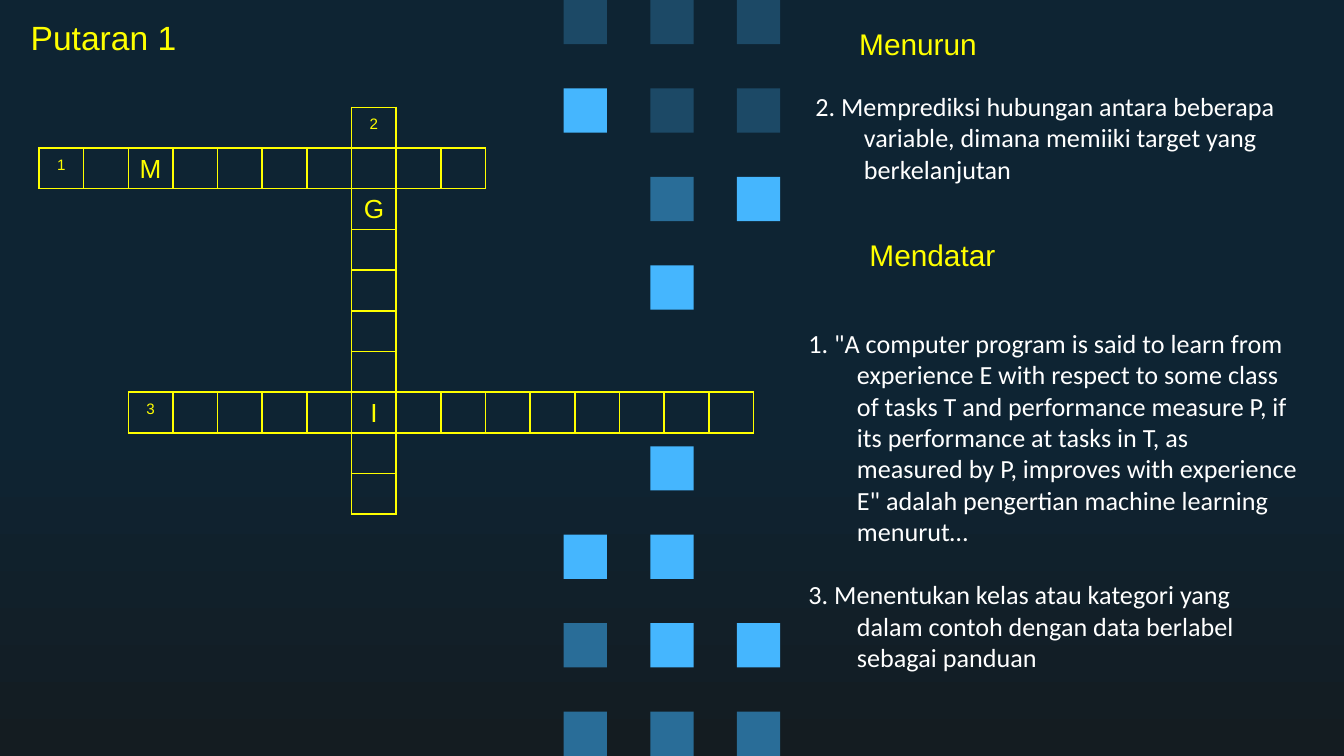
from lxml import etree
from pptx import Presentation
from pptx.dml.color import RGBColor
from pptx.enum.shapes import MSO_SHAPE
from pptx.enum.text import MSO_ANCHOR, MSO_AUTO_SIZE, PP_ALIGN
from pptx.oxml.ns import qn
from pptx.util import Pt

RECTANGLE = MSO_SHAPE.RECTANGLE
MIDDLE = MSO_ANCHOR.MIDDLE
NO_AUTOFIT = MSO_AUTO_SIZE.NONE
LEFT, CENTER = PP_ALIGN.LEFT, PP_ALIGN.CENTER

# Content: placeholder index, role, box (left, top, width, height), paragraphs
TEXTS = [
    (0, "title", (9.2, 7.9, 231.8, 23.8), ["Putaran 1"]),
    (1, "heading", (370.1, -9.2, 243.4, 65.5), ["Menurun"]),
    (2, "clue", (419.6, 31.8, 279.4, 83.5), [
        "2. Memprediksi hubungan antara beberapa variable, dimana memiiki "
        "target yang berkelanjutan"]),
    (3, "heading", (377.8, 103.7, 243.4, 65.5), ["Mendatar"]),
    (4, "clue", (415.9, 136.1, 287.3, 263.5), [
        '1. "A computer program is said to learn from experience E with respect '
        "to some class of tasks T and performance measure P, if its performance "
        "at tasks in T, as measured by P, improves with experience E\" adalah "
        "pengertian machine learning menurut…",
        "3. Menentukan kelas atau kategori yang dalam contoh dengan data "
        "berlabel sebagai panduan"]),
]

# Crossword: # is an empty box, a digit is a clue number, a dot lies outside
CROSSWORD = [
    ".......2........",
    "1#M#######......",
    ".......G........",
    ".......#........",
    ".......#........",
    ".......#........",
    ".......#........",
    "..3####I########",
    ".......#........",
    ".......#........",
]

# Square pattern: d dark, m medium, b bright
TOP_SQUARES = ["ddd", "bdd", ".mb", ".b."]
BOTTOM_SQUARES = [".b.", "bb.", "mbb", "mmm"]

THEME = {
    "night": RGBColor(0x0E, 0x24, 0x33),
    "dusk": RGBColor(0x14, 0x1C, 0x21),
    "yellow": RGBColor(0xFF, 0xFF, 0x00),
    "white": RGBColor(0xFF, 0xFF, 0xFF),
    "d": RGBColor(0x1C, 0x49, 0x66),
    "m": RGBColor(0x29, 0x6D, 0x98),
    "b": RGBColor(0x45, 0xB6, 0xFE),
    "title": {"name": "Arial", "size": Pt(18), "bold": False},
    "heading": {"name": "Arial", "size": Pt(16), "bold": False},
    "clue": {"name": "Calibri", "size": Pt(14), "bold": False},
    "letter": {"name": "Arial", "size": Pt(14), "bold": False},
}
ALIGNMENT = {"title": LEFT, "heading": CENTER, "clue": LEFT}
COLOUR = {"title": "yellow", "heading": "yellow", "clue": "white"}

SLIDE_W, SLIDE_H = 720, 405
SQUARE_W, SQUARE_H = 23.2, 23.7
SQUARE_LEFT, SQUARE_STEP_X, SQUARE_STEP_Y = 302, 46.4, 47.4
GRID_LEFT, GRID_TOP, BOX_W, BOX_H = 20.9, 57.5, 23.94, 21.8
CLUE_GAP = 17
FRAME = {"word_wrap": True, "auto_size": NO_AUTOFIT, "vertical_anchor": MIDDLE,
         "margin_left": Pt(7.2), "margin_right": Pt(7.2),
         "margin_top": Pt(7.2), "margin_bottom": Pt(7.2)}
BOX = {"vertical_anchor": MIDDLE, "margin_left": Pt(0.7), "margin_right": Pt(0.7),
       "margin_top": Pt(0.7), "margin_bottom": Pt(0)}
PLAIN_TABLE = "{2D5ABB26-0587-4C30-8999-92F81FD0307C}"
SIDES = {"a:lnL": (0, -1), "a:lnR": (0, 1), "a:lnT": (-1, 0), "a:lnB": (1, 0)}


def apply(target, values):
    for name, value in values.items():
        setattr(target, name, value)


def place(shape, box):
    apply(shape, dict(zip(("left", "top", "width", "height"), map(Pt, box))))


def style_font(font, role, colour):
    apply(font, THEME[role])
    font.color.rgb = THEME[colour]


def fill_placeholder(holder, role, box, paragraphs):
    place(holder, box)
    frame = holder.text_frame
    frame.text = "\n".join(paragraphs)
    apply(frame, FRAME)
    for number, paragraph in enumerate(frame.paragraphs):
        props = paragraph._p.get_or_add_pPr()
        hanging = role == "clue"
        props.set("marL", str(Pt(36) if hanging else 0))
        props.set("indent", str(-Pt(26) if hanging else 0))
        etree.SubElement(props, qn("a:buNone"))
        apply(paragraph, {"alignment": ALIGNMENT[role], "line_spacing": 1.0,
                          "space_before": Pt(CLUE_GAP if number else 0)})
        style_font(paragraph.runs[0].font, role, COLOUR[role])


def add_squares(shapes, pattern, top):
    for row, marks in enumerate(pattern):
        for col, mark in enumerate(marks):
            if mark == ".":
                continue
            square = shapes.add_shape(
                RECTANGLE, Pt(SQUARE_LEFT + col * SQUARE_STEP_X),
                Pt(top + row * SQUARE_STEP_Y), Pt(SQUARE_W), Pt(SQUARE_H))
            square.shadow.inherit = False
            square.fill.solid()
            square.fill.fore_color.rgb = THEME[mark]
            square.line.fill.background()


def in_word(row, col):
    return (0 <= row < len(CROSSWORD) and 0 <= col < len(CROSSWORD[0])
            and CROSSWORD[row][col] != ".")


def draw_borders(cell, row, col):
    # Every side is stated, so that no side takes over a neighbour's line
    props = cell._tc.get_or_add_tcPr()
    for position, (side, (down, right)) in enumerate(SIDES.items()):
        line = etree.Element(qn(side), w=str(Pt(1)))
        if in_word(row, col) or in_word(row + down, col + right):
            paint = etree.SubElement(line, qn("a:solidFill"))
            etree.SubElement(paint, qn("a:srgbClr"), val=str(THEME["yellow"]))
        else:
            etree.SubElement(line, qn("a:noFill"))
        props.insert(position, line)


def add_crossword(shapes):
    rows, cols = len(CROSSWORD), len(CROSSWORD[0])
    table = shapes.add_table(rows, cols, Pt(GRID_LEFT), Pt(GRID_TOP),
                             Pt(cols * BOX_W), Pt(rows * BOX_H)).table
    apply(table, {"first_row": False, "horz_banding": False})
    table._tbl.tblPr.find(qn("a:tableStyleId")).text = PLAIN_TABLE
    for column in table.columns:
        column.width = Pt(BOX_W)
    for row, marks in enumerate(CROSSWORD):
        table.rows[row].height = Pt(BOX_H)
        for col, mark in enumerate(marks):
            cell = table.cell(row, col)
            apply(cell, BOX)
            cell.fill.background()
            draw_borders(cell, row, col)
            paragraph = cell.text_frame.paragraphs[0]
            paragraph.alignment = CENTER
            if mark in ".#":
                # Empty boxes also need a small type size to keep the row height
                end = paragraph._p.get_or_add_endParaRPr()
                end.set("sz", str(int(THEME["letter"]["size"].pt * 100)))
                continue
            run = paragraph.add_run()
            run.text = mark
            style_font(run.font, "letter", "yellow")
            if mark.isdigit():
                run._r.get_or_add_rPr().set("baseline", "30000")


def main():
    deck = Presentation()
    apply(deck, {"slide_width": Pt(SLIDE_W), "slide_height": Pt(SLIDE_H)})
    slide = deck.slides.add_slide(deck.slide_layouts.get_by_name("Comparison"))

    # Background
    fill = slide.background.fill
    fill.gradient()
    fill.gradient_angle = 270
    for stop, position, colour in zip(fill.gradient_stops, (0.56, 1), ("night", "dusk")):
        stop.position = position
        stop.color.rgb = THEME[colour]

    # Title, headings and clues
    holders = {holder.placeholder_format.idx: holder for holder in slide.placeholders}
    for index, role, box, paragraphs in TEXTS:
        fill_placeholder(holders[index], role, box, paragraphs)

    # Square pattern, hung from the top edge and standing on the bottom edge
    add_squares(slide.shapes, TOP_SQUARES, 0)
    bottom_span = (len(BOTTOM_SQUARES) - 1) * SQUARE_STEP_Y + SQUARE_H
    add_squares(slide.shapes, BOTTOM_SQUARES, SLIDE_H - bottom_span)

    add_crossword(slide.shapes)
    deck.save("out.pptx")


if __name__ == "__main__":
    main()
